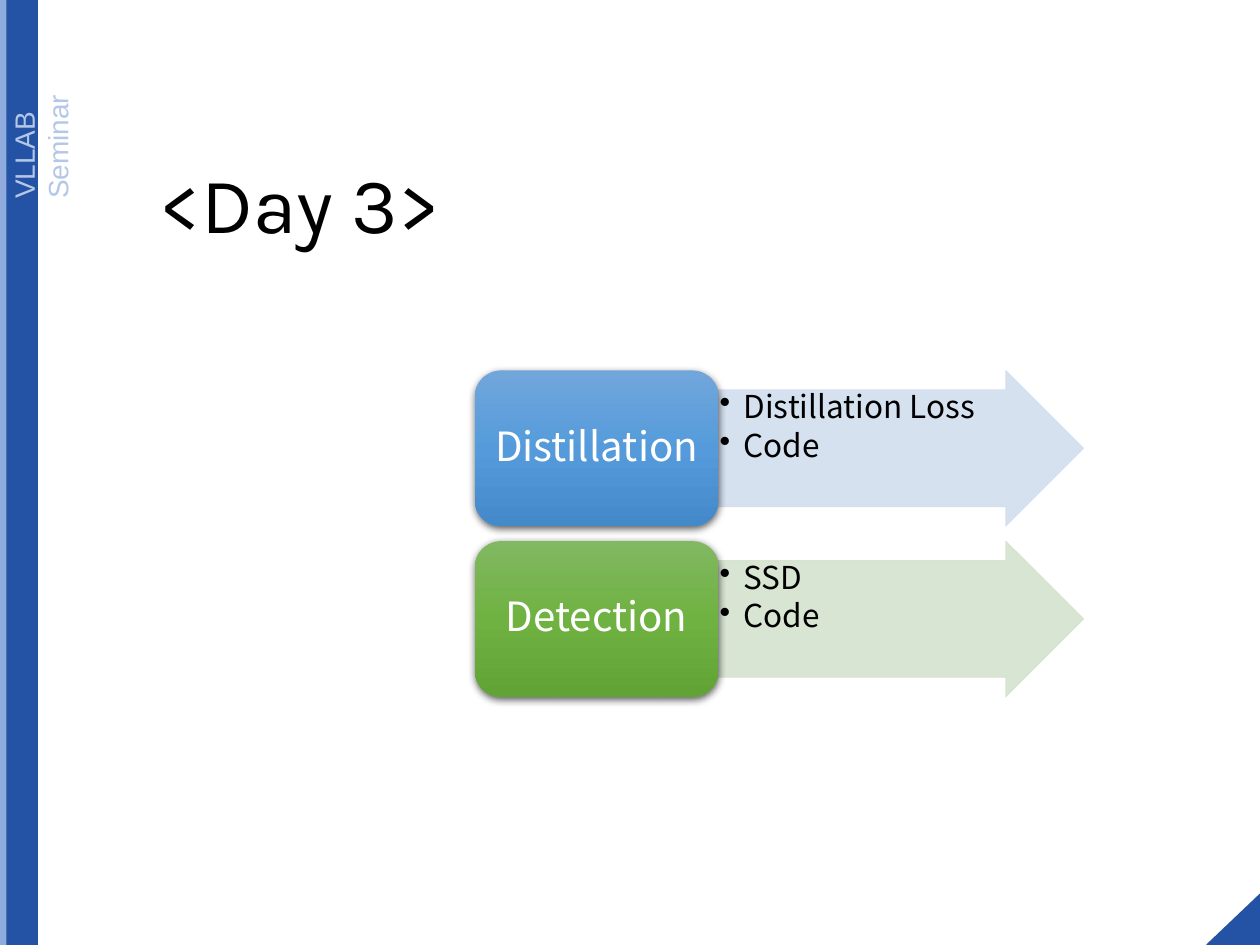
from copy import deepcopy

from pptx import Presentation
from pptx import util as u
from pptx.dml.color import RGBColor
from pptx.enum import shapes, text
from pptx.oxml import parse_xml
from pptx.oxml.ns import nsdecls, qn

WHITE = RGBColor(0xFF, 0xFF, 0xFF)
BLACK = RGBColor(0x00, 0x00, 0x00)
NAVY = RGBColor(0x24, 0x53, 0xA5)
SKY = RGBColor(0x8F, 0xAA, 0xDC)
PALE_SKY = RGBColor(0xB4, 0xC7, 0xE7)
BLUE_TINT = RGBColor(0xD2, 0xDE, 0xEF)
GREEN_TINT = RGBColor(0xD5, 0xE3, 0xCF)
BLUES = [RGBColor(0x71, 0xA6, 0xDB), RGBColor(0x55, 0x9B, 0xDB), RGBColor(0x44, 0x8A, 0xCA)]
GREENS = [RGBColor(0x81, 0xB8, 0x61), RGBColor(0x6F, 0xB2, 0x42), RGBColor(0x62, 0xA3, 0x36)]

BODY_FONT = "Noto Sans CJK KR"
TOPICS = [
    ("Distillation", ["Distillation Loss", "Code"], BLUES, BLUE_TINT),
    ("Detection", ["SSD", "Code"], GREENS, GREEN_TINT),
]


def add_box(slide, kind, left, top, width, height, color=None):
    shape = slide.shapes.add_shape(
        kind, u.Inches(left), u.Inches(top), u.Inches(width), u.Inches(height))
    shape.shadow.inherit = False
    shape.line.fill.background()
    if color is not None:
        shape.fill.solid()
        shape.fill.fore_color.rgb = color
    return shape


def add_text_box(slide, left, top, width, height, content, font, size, color):
    shape = slide.shapes.add_textbox(
        u.Inches(left), u.Inches(top), u.Inches(width), u.Inches(height))
    shape.text_frame.word_wrap = True
    shape.text_frame.text = content
    format_runs(shape.text_frame.paragraphs[0], font, size, color)
    return shape


def format_runs(paragraph, font, size, color):
    for run in paragraph.runs:
        run.font.name = font
        run.font.size = u.Pt(size)
        run.font.color.rgb = color
        run.font._element.append(
            parse_xml(f'<a:ea {nsdecls("a")} typeface="{font}"/>'))


def set_spacing(paragraph, after_percent):
    paragraph.line_spacing = 0.9
    paragraph._p.get_or_add_pPr().append(parse_xml(
        f'<a:spcAft {nsdecls("a")}><a:spcPct val="{after_percent * 1000}"/></a:spcAft>'))


def set_margins(frame, horizontal, vertical):
    frame.margin_left = frame.margin_right = u.Inches(horizontal)
    frame.margin_top = frame.margin_bottom = u.Inches(vertical)


def set_opacity(fill_parent, percent):
    for color in fill_parent.iter(qn("a:srgbClr")):
        color.append(parse_xml(
            f'<a:alpha {nsdecls("a")} val="{percent * 1000}"/>'))


def set_gradient(shape, colors):
    shape.fill.gradient()
    shape.fill.gradient_angle = 270
    stop_list = shape._element.spPr.find(".//" + qn("a:gsLst"))
    stop_list.insert(1, deepcopy(stop_list[0]))
    for index, (stop, color) in enumerate(zip(shape.fill.gradient_stops, colors)):
        stop.position = index / 2
        stop.color.rgb = color


def set_shadow(shape):
    effects = shape._element.spPr.find(qn("a:effectLst"))
    effects.append(parse_xml(
        f'<a:outerShdw {nsdecls("a")} blurRad="{u.Pt(4.5)}" dist="{u.Pt(1.5)}" '
        'dir="5400000" algn="ctr" rotWithShape="0"><a:srgbClr val="000000">'
        '<a:alpha val="63000"/></a:srgbClr></a:outerShdw>'))


def add_side_band(slide, left, top, height):
    rectangle = shapes.MSO_SHAPE.RECTANGLE
    add_box(slide, rectangle, left, top, 0.25, height, SKY)
    add_box(slide, rectangle, left + 0.05, top, 0.25, height, NAVY)
    label = add_text_box(slide, left - 0.65, top + 0.65, 1.68, 0.37,
                         "VLLAB Seminar", "Arial", 16, PALE_SKY)
    label.rotation = 270


def add_corner(slide, left, top, width, height):
    triangle = add_box(slide, shapes.MSO_SHAPE.RIGHT_TRIANGLE,
                       left, top, width, height, NAVY)
    triangle.rotation = 270
    triangle.line.color.rgb = NAVY
    triangle.line.width = u.Pt(1)


def add_title(slide, left, top, width, height):
    title = add_text_box(slide, left, top, width, height, "<Day 3>", "Karla", 45, BLACK)
    title.text_frame.vertical_anchor = text.MSO_ANCHOR.MIDDLE
    paragraph = title.text_frame.paragraphs[0]
    paragraph.alignment = text.PP_ALIGN.CENTER
    paragraph.line_spacing = 0.9


def add_arrow(slide, left, top, width, height, items, tint):
    arrow = add_box(slide, shapes.MSO_SHAPE.RIGHT_ARROW, left, top, width, height, tint)
    arrow.adjustments[0] = 0.75
    arrow.adjustments[1] = 0.5
    arrow.line.color.rgb = tint
    arrow.line.width = u.Pt(0.5)
    set_opacity(arrow._element.spPr, 90)
    frame = arrow.text_frame
    frame.word_wrap = True
    frame.vertical_anchor = text.MSO_ANCHOR.TOP
    set_margins(frame, 0.01, 0.01)
    frame.text = "\n".join(items)
    for paragraph in frame.paragraphs:
        paragraph.alignment = text.PP_ALIGN.LEFT
        paragraph.level = 1
        set_spacing(paragraph, 15)
        properties = paragraph._p.get_or_add_pPr()
        properties.set("marL", str(u.Inches(0.19)))
        properties.set("indent", str(-u.Inches(0.19)))
        properties.append(parse_xml(f'<a:buChar {nsdecls("a")} char="•"/>'))
        format_runs(paragraph, BODY_FONT, 18, BLACK)


def add_topic(slide, left, top, width, height, name, items, gradient, tint):
    card_width = width * 0.4
    add_arrow(slide, left + card_width, top, width - card_width, height, items, tint)
    card = add_box(slide, shapes.MSO_SHAPE.ROUNDED_RECTANGLE, left, top, card_width, height)
    set_gradient(card, gradient)
    set_shadow(card)
    frame = card.text_frame
    frame.word_wrap = True
    frame.vertical_anchor = text.MSO_ANCHOR.MIDDLE
    set_margins(frame, 0.1, 0.05)
    frame.text = name
    paragraph = frame.paragraphs[0]
    paragraph.alignment = text.PP_ALIGN.CENTER
    set_spacing(paragraph, 35)
    format_runs(paragraph, BODY_FONT, 23, WHITE)


def add_topics(slide, left, top, width, height):
    gap = 0.12
    row_height = (height - gap * (len(TOPICS) - 1)) / len(TOPICS)
    for index, topic in enumerate(TOPICS):
        add_topic(slide, left, top + index * (row_height + gap), width, row_height, *topic)


def main():
    presentation = Presentation()
    presentation.slide_width = u.Inches(10)
    presentation.slide_height = u.Inches(7.5)
    slide = presentation.slides.add_slide(presentation.slide_layouts[6])
    add_side_band(slide, 0, 0, 7.5)
    add_corner(slide, 9.59, 7.09, 0.4, 0.42)
    add_title(slide, -0.04, 0.36, 4.84, 2.58)
    add_topics(slide, 3.77, 2.94, 4.83, 2.59)
    presentation.save("out.pptx")


if __name__ == "__main__":
    main()
